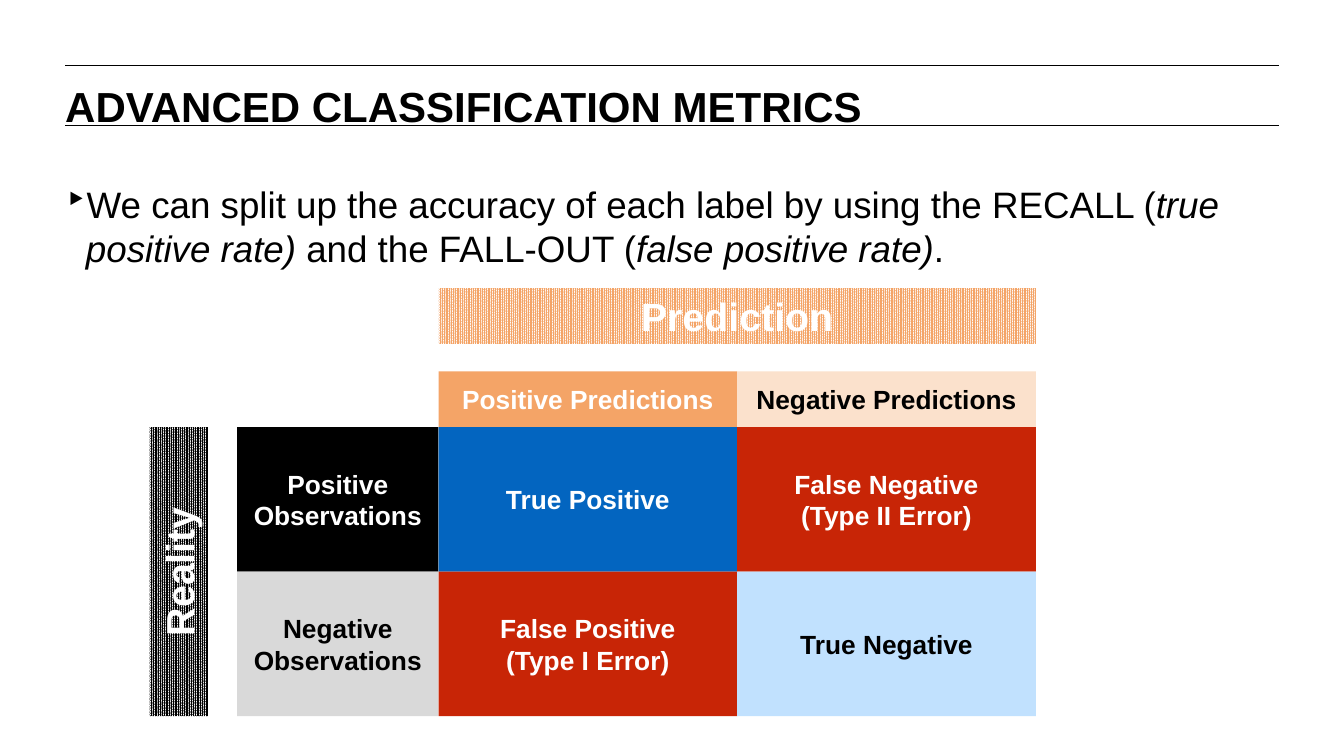
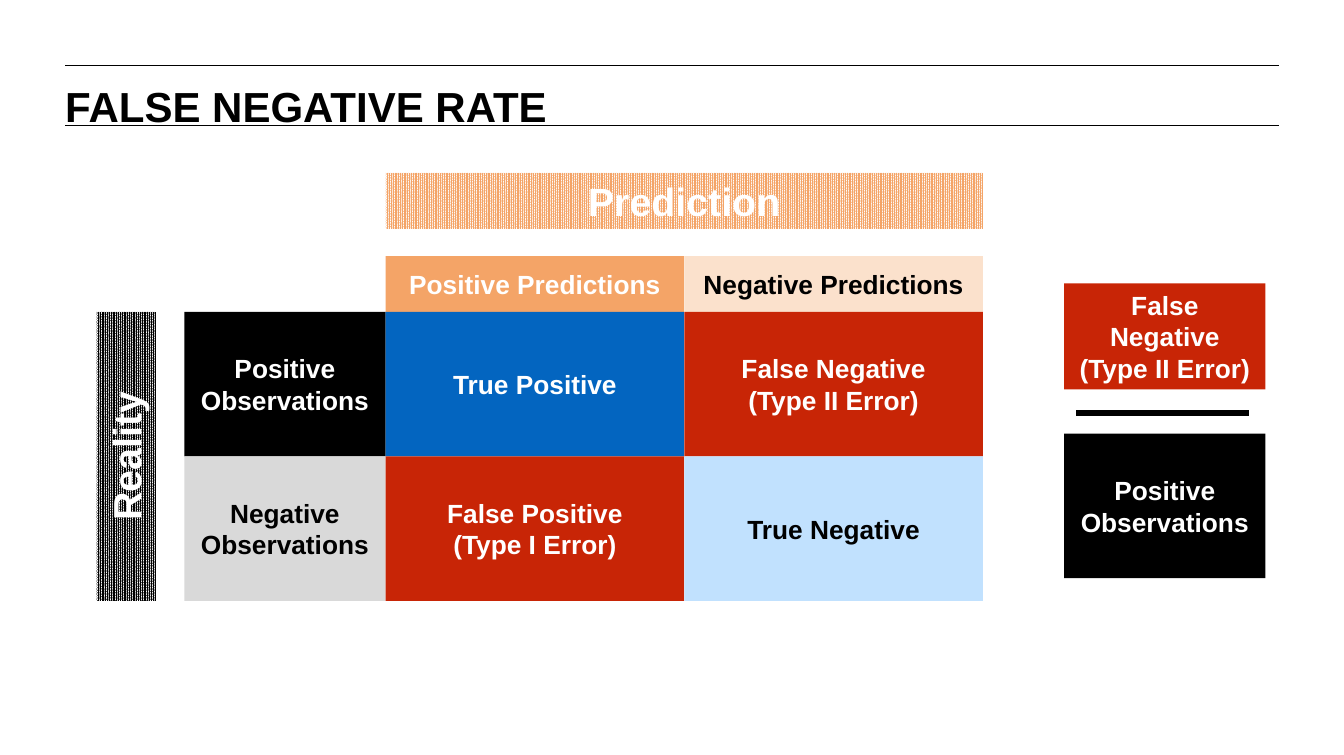
import pptx
import pptx.util
import pptx.dml.color
import pptx.enum.dml
import pptx.enum.shapes
import pptx.enum.text
import pptx.oxml
import pptx.oxml.ns
import lxml.etree

Inches = pptx.util.Inches
Pt = pptx.util.Pt

FONT = "Arial"
COLORS = {
    "black": "000000",
    "white": "FFFFFF",
    "blue": "0365C0",
    "red": "C82506",
    "light_blue": "C1E1FE",
    "gray": "D9D9D9",
    "orange": "F4A467",
    "light_orange": "FBE1CC",
}
MARGIN = 0.69
CONTENT_WIDTH = 12.84
RULE_TOPS = (0.69, 1.33)

LABEL_WIDTH = 2.13
CELL_WIDTH = 3.16
CELL_HEIGHT = 1.53
HEADER_HEIGHT = 0.59
REALITY_WIDTH = 0.62
LABEL_LEFT = 0.93
GRID_LEFT = LABEL_LEFT + LABEL_WIDTH
HEADER_TOP = 0.88
GRID_TOP = HEADER_TOP + HEADER_HEIGHT

FALSE_NEGATIVE = ("False Negative", "(Type II Error)")
POSITIVE_OBSERVATIONS = ("Positive Observations",)
COLUMN_HEADERS = [
    (("Positive Predictions",), "orange", "white"),
    (("Negative Predictions",), "light_orange", "black"),
]
ROW_LABELS = [
    (POSITIVE_OBSERVATIONS, "black", "white"),
    (("Negative Observations",), "gray", "black"),
]
OUTCOMES = [
    [(("True Positive",), "blue", "white"), (FALSE_NEGATIVE, "red", "white")],
    [(("False Positive", "(Type I Error)"), "red", "white"), (("True Negative",), "light_blue", "black")],
]


def rgb(name):
    return pptx.dml.color.RGBColor.from_string(COLORS[name])


def add_run(paragraph, text, size, color="black", bold=False, italic=False):
    run = paragraph.add_run()
    run.text = text
    run.font.name = FONT
    run.font.size = Pt(size)
    run.font.bold = bold
    run.font.italic = italic
    run.font.color.rgb = rgb(color)


def add_line(slide, left, top, width, weight):
    line = slide.shapes.add_connector(
        pptx.enum.shapes.MSO_CONNECTOR.STRAIGHT,
        Inches(left), Inches(top), Inches(left + width), Inches(top))
    line.line.color.rgb = rgb("black")
    line.line.width = Pt(weight)
    properties = line._element.spPr
    lxml.etree.SubElement(properties, pptx.oxml.ns.qn("a:effectLst"))


def add_text_box(slide, left, top, width, height):
    box = slide.shapes.add_textbox(Inches(left), Inches(top), Inches(width), Inches(height))
    frame = box.text_frame
    frame.word_wrap = True
    frame.margin_left = frame.margin_right = frame.margin_top = frame.margin_bottom = 0
    return frame.paragraphs[0]


def add_block(slide, left, top, width, height, lines, fill, color, size=20, patterned=False):
    shape = slide.shapes.add_shape(
        pptx.enum.shapes.MSO_SHAPE.RECTANGLE,
        Inches(left), Inches(top), Inches(width), Inches(height))
    shape.shadow.inherit = False
    shape.line.fill.background()
    if patterned:
        shape.fill.patterned()
        shape.fill.pattern = pptx.enum.dml.MSO_PATTERN.PERCENT_90
        shape.fill.fore_color.rgb = rgb(fill)
        shape.fill.back_color.rgb = rgb("white")
    else:
        shape.fill.solid()
        shape.fill.fore_color.rgb = rgb(fill)
    frame = shape.text_frame
    frame.word_wrap = True
    frame.vertical_anchor = pptx.enum.text.MSO_ANCHOR.MIDDLE
    for index, line in enumerate(lines):
        paragraph = frame.add_paragraph() if index else frame.paragraphs[0]
        paragraph.alignment = pptx.enum.text.PP_ALIGN.CENTER
        add_run(paragraph, line, size, color, bold=True)
    return shape


def add_titled_slide(presentation, title):
    slide = presentation.slides.add_slide(presentation.slide_layouts[6])
    for top in RULE_TOPS:
        add_line(slide, MARGIN, top, CONTENT_WIDTH, 0.75)
    paragraph = add_text_box(slide, MARGIN, 0.85, CONTENT_WIDTH, 0.47)
    add_run(paragraph, title, 32, bold=True)
    return slide


def add_bullet(slide, left, top, width, height, parts):
    paragraph = add_text_box(slide, left, top, width, height)
    properties = paragraph._p.get_or_add_pPr()
    properties.set("marL", str(Inches(0.22)))
    properties.set("indent", str(-Inches(0.22)))
    bullet = lxml.etree.SubElement(properties, pptx.oxml.ns.qn("a:buChar"))
    bullet.set("char", "‣")
    for text, italic in parts:
        add_run(paragraph, text, 28, italic=italic)


def add_confusion_matrix(slide, left, top):
    grid_left = left + GRID_LEFT
    grid_top = top + GRID_TOP
    grid_height = 2 * CELL_HEIGHT
    add_block(slide, grid_left, top, 2 * CELL_WIDTH, HEADER_HEIGHT,
              ("Prediction",), "orange", "white", 30, patterned=True)
    reality = add_block(slide, left + (REALITY_WIDTH - grid_height) / 2,
                        grid_top + (grid_height - REALITY_WIDTH) / 2,
                        grid_height, REALITY_WIDTH,
                        ("Reality",), "black", "white", 30, patterned=True)
    reality.rotation = 270
    for column, header in enumerate(COLUMN_HEADERS):
        add_block(slide, grid_left + column * CELL_WIDTH, top + HEADER_TOP,
                  CELL_WIDTH, HEADER_HEIGHT, *header)
    for row, (label, outcomes) in enumerate(zip(ROW_LABELS, OUTCOMES)):
        row_top = grid_top + row * CELL_HEIGHT
        add_block(slide, left + LABEL_LEFT, row_top, LABEL_WIDTH, CELL_HEIGHT, *label)
        for column, outcome in enumerate(outcomes):
            add_block(slide, grid_left + column * CELL_WIDTH, row_top,
                      CELL_WIDTH, CELL_HEIGHT, *outcome)


def add_fraction(slide, left, top):
    add_block(slide, left, top, LABEL_WIDTH, 1.12, FALSE_NEGATIVE, "red", "white")
    add_line(slide, left + 0.13, top + 1.37, 1.83, 5)
    add_block(slide, left, top + 1.59, LABEL_WIDTH, CELL_HEIGHT,
              POSITIVE_OBSERVATIONS, "black", "white")


def build_metrics_slide(presentation):
    slide = add_titled_slide(presentation, "ADVANCED CLASSIFICATION METRICS")
    add_bullet(slide, MARGIN, 1.92, CONTENT_WIDTH, 1, [
        ("We can split up the accuracy of each label by using the RECALL (", False),
        ("true positive rate) ", True),
        ("and the FALL-OUT (", False),
        ("false positive rate)", True),
        (".", False),
    ])
    add_confusion_matrix(slide, 1.58, 3.05)


def build_rate_slide(presentation):
    slide = add_titled_slide(presentation, "FALSE NEGATIVE RATE")
    add_confusion_matrix(slide, 1.02, 1.83)
    add_fraction(slide, 11.26, 3)


def main():
    presentation = pptx.Presentation()
    presentation.slide_width = Inches(14.22)
    presentation.slide_height = Inches(7.99)
    build_metrics_slide(presentation)
    build_rate_slide(presentation)
    presentation.save("out.pptx")


if __name__ == "__main__":
    main()
